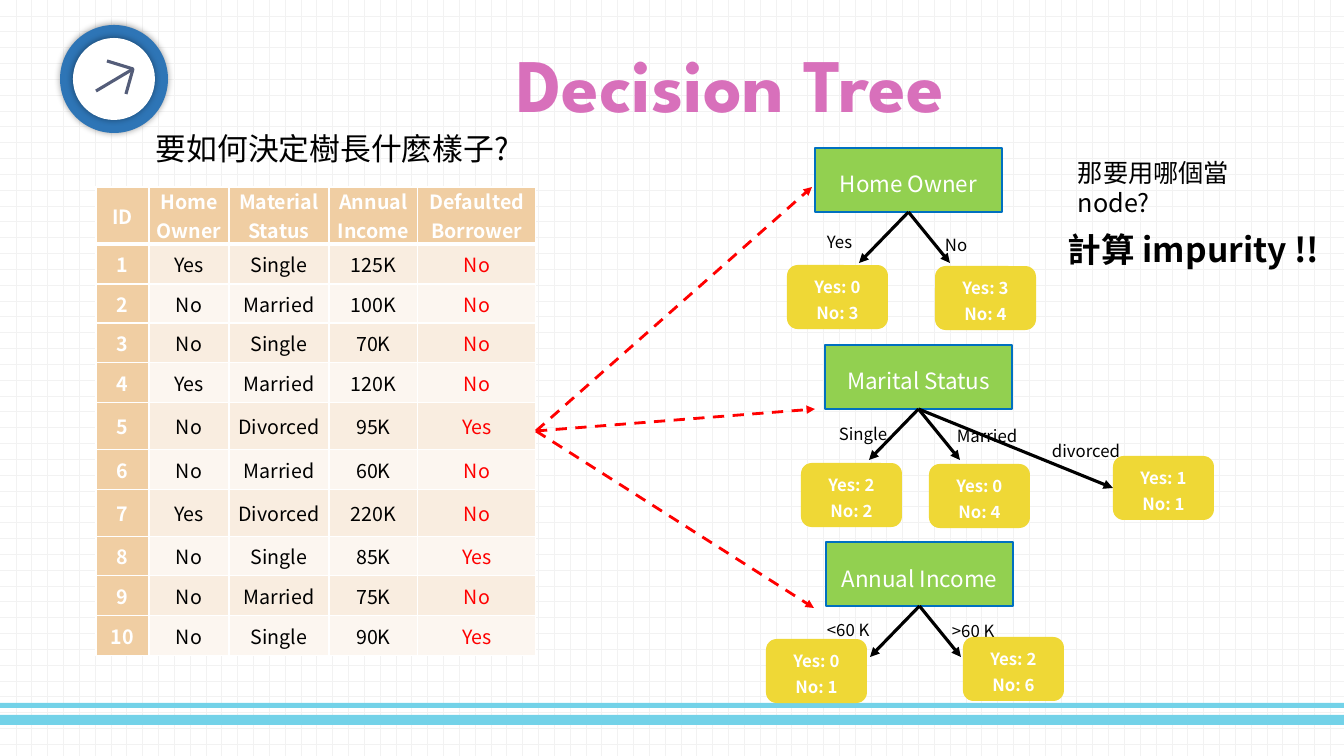
from lxml import etree
from pptx import Presentation
from pptx.dml.color import RGBColor
from pptx.enum.dml import MSO_LINE, MSO_PATTERN
from pptx.enum.shapes import MSO_CONNECTOR, MSO_SHAPE
from pptx.enum.text import MSO_ANCHOR, PP_ALIGN
from pptx.oxml import parse_xml
from pptx.oxml.ns import nsdecls, qn
from pptx.util import Pt

SCALE = 12192000 / 1344
WIDTH, HEIGHT = 1344, 756
BODY_FONT, TITLE_FONT = "Noto Sans CJK SC", "League Spartan"

BLACK = RGBColor(0x00, 0x00, 0x00)
WHITE = RGBColor(0xFF, 0xFF, 0xFF)
RED = RGBColor(0xFF, 0x00, 0x00)
PINK = RGBColor(0xD8, 0x70, 0xBB)
SKY = RGBColor(0x73, 0xD2, 0xE8)
BLUE = RGBColor(0x2E, 0x75, 0xB6)
EDGE_BLUE = RGBColor(0x00, 0x70, 0xC0)
SLATE = RGBColor(0x54, 0x5D, 0x79)
GREEN = RGBColor(0x92, 0xD0, 0x50)
YELLOW = RGBColor(0xEF, 0xD8, 0x36)
GRID_GREY = RGBColor(0xF2, 0xF2, 0xF2)
TAN = RGBColor(0xF0, 0xCE, 0xA3)
BANDS = RGBColor(0xF9, 0xED, 0xE0), RGBColor(0xFC, 0xF6, 0xF0)

LEFT, CENTER = PP_ALIGN.LEFT, PP_ALIGN.CENTER
TOP, MIDDLE = MSO_ANCHOR.TOP, MSO_ANCHOR.MIDDLE
RECT, ROUND, OVAL = MSO_SHAPE.RECTANGLE, MSO_SHAPE.ROUNDED_RECTANGLE, MSO_SHAPE.OVAL
STRAIGHT, DASH = MSO_CONNECTOR.STRAIGHT, MSO_LINE.DASH
SIDE_LEFT, SIDE_BOTTOM = 1, 3 - 1

COLUMNS = [53, 80, 100, 89, 118]
ROWS = [57, 40, 39, 40, 40, 47, 40, 47, 39, 40, 40]
HEADER = ["ID", "Home\nOwner", "Material\nStatus", "Annual\nIncome", "Defaulted\nBorrower"]
RECORDS = [
    ("Yes", "Single", "125K", "No"),
    ("No", "Married", "100K", "No"),
    ("No", "Single", "70K", "No"),
    ("Yes", "Married", "120K", "No"),
    ("No", "Divorced", "95K", "Yes"),
    ("No", "Married", "60K", "No"),
    ("Yes", "Divorced", "220K", "No"),
    ("No", "Single", "85K", "Yes"),
    ("No", "Married", "75K", "No"),
    ("No", "Single", "90K", "Yes"),
]

# Each branch: label, label box (x, y, width), arrow tip, leaf corner, leaf text;
# places are relative to the tree's root box. No tip: the arrow joins the leaf.
LEFT_TIP, RIGHT_TIP = (44, 115), (135, 115)
TREES = [
    ("Home Owner", 815, 148, [
        ("Yes", (2, 73, 48), LEFT_TIP, (-28, 117), "Yes: 0\nNo: 3"),
        ("No", (120, 76, 45), RIGHT_TIP, (120, 118), "Yes: 3\nNo: 4")]),
    ("Marital Status", 825, 345, [
        ("Single", (4, 68, 70), LEFT_TIP, (-24, 118), "Yes: 2\nNo: 2"),
        ("Married", (122, 70, 85), RIGHT_TIP, (104, 119), "Yes: 0\nNo: 4"),
        ("divorced", (217, 85, 91), None, (288, 111), "Yes: 1\nNo: 1")]),
    ("Annual Income", 826, 542, [
        ("<60 K", (-9, 67, 69), LEFT_TIP, (-60, 97), "Yes: 0\nNo: 1"),
        (">60 K", (116, 68, 76), RIGHT_TIP, (137, 95), "Yes: 2\nNo: 6")]),
]


def px(length):
    return round(length * SCALE)


def write(frame, text, size, color, bold=False, align=LEFT, spacing=None,
          anchor=TOP, font=BODY_FONT):
    frame.vertical_anchor = anchor
    for index, line in enumerate(text.split("\n")):
        para = frame.paragraphs[0] if index == 0 else frame.add_paragraph()
        para.alignment = align
        para.line_spacing = spacing
        span = para.add_run()
        span.text = line
        span.font.size, span.font.bold = Pt(size), bold
        span.font.color.rgb, span.font.name = color, font
        east_asian = etree.SubElement(span.font._element, qn("a:ea"))
        east_asian.set("typeface", font)


def add_text(page, x, y, w, h, text, size, color, wrap=True, **style):
    box = page.shapes.add_textbox(px(x), px(y), px(w), px(h))
    box.text_frame.word_wrap = wrap
    write(box.text_frame, text, size, color, **style)


def add_box(page, kind, x, y, w, h, fill, edge=None):
    box = page.shapes.add_shape(kind, px(x), px(y), px(w), px(h))
    box.shadow.inherit = False
    box.fill.solid()
    box.fill.fore_color.rgb = fill
    if edge:
        box.line.color.rgb, box.line.width = edge, Pt(1)
    else:
        box.line.fill.background()
    return box


def add_line(page, start, end, color, width, arrow=True):
    line = page.shapes.add_connector(STRAIGHT, *map(px, start + end))
    line.line.color.rgb, line.line.width = color, Pt(width)
    if arrow:
        tail = etree.SubElement(line.line._get_or_add_ln(), qn("a:tailEnd"))
        tail.set("type", "triangle")
    etree.SubElement(line._element.spPr, qn("a:effectLst"))
    return line


def add_icon(page, x, y):
    # Two glowing discs
    for inset, fill in ((0, BLUE), (13, WHITE)):
        disc = add_box(page, OVAL, x + inset, y + inset, 108 - 2 * inset, 108 - 2 * inset, fill)
        disc._element.spPr.find(qn("a:effectLst")).append(parse_xml(
            f'<a:outerShdw {nsdecls("a")} blurRad="63500" dist="0" dir="0">'
            '<a:srgbClr val="000000"><a:alpha val="40000"/></a:srgbClr></a:outerShdw>'))
    # Open arrow
    corner = (x + 73, y + 44)
    builder = page.shapes.build_freeform(px(x + 47), px(y + 36))
    builder.add_line_segments([tuple(map(px, corner)), (px(x + 66), px(y + 69))], close=False)
    head = builder.convert_to_shape()
    head.shadow.inherit = False
    head.fill.background()
    head.line.color.rgb, head.line.width = SLATE, Pt(2.25)
    add_line(page, (x + 36, y + 66), corner, SLATE, 2.25, arrow=False)


def add_borders(cell, bottom):
    props = cell._tc.get_or_add_tcPr()
    for index, side in enumerate(("lnL", "lnR", "lnT", "lnB")):
        width = Pt(bottom if side == "lnB" else 1)
        props.insert(index, parse_xml(
            f'<a:{side} {nsdecls("a")} w="{width}"><a:solidFill>'
            f'<a:srgbClr val="{WHITE}"/></a:solidFill></a:{side}>'))


def add_records(page, x, y):
    table = page.shapes.add_table(len(ROWS), len(COLUMNS), px(x), px(y),
                                  px(sum(COLUMNS)), px(sum(ROWS))).table
    for column, width in zip(table.columns, COLUMNS):
        column.width = px(width)
    for row, height in zip(table.rows, ROWS):
        row.height = px(height)
    lines = [HEADER] + [(str(n), *record) for n, record in enumerate(RECORDS, 1)]
    for r, line in enumerate(lines):
        for c, text in enumerate(line):
            cell = table.cell(r, c)
            heading = r == 0 or c == 0
            cell.margin_left = cell.margin_right = px(7)
            cell.margin_top = cell.margin_bottom = 0
            cell.fill.solid()
            cell.fill.fore_color.rgb = TAN if heading else BANDS[(r - 1) % 2]
            add_borders(cell, 3 if r == 0 else 1)
            color = WHITE if heading else RED if c == len(COLUMNS) - 1 else BLACK
            write(cell.text_frame, text, 14, color, bold=heading, align=CENTER)
            cell.vertical_anchor = MIDDLE


def add_tree(page, x, y, name, branches):
    root = add_box(page, RECT, x, y, 187, 64, GREEN, EDGE_BLUE)
    write(root.text_frame, name, 16, WHITE, align=CENTER, spacing=1.3, anchor=MIDDLE)
    for label, (label_x, label_y, label_w), tip, (leaf_x, leaf_y), counts in branches:
        tip_x, tip_y = tip or (leaf_x, leaf_y + 32)
        branch = add_line(page, (x + 93, y + 64), (x + tip_x, y + tip_y), BLACK, 2.25)
        branch.begin_connect(root, SIDE_BOTTOM)
        add_text(page, x + label_x, y + label_y, label_w, 34, label, 12, BLACK,
                 wrap=False, spacing=1.3)
        leaf = add_box(page, ROUND, x + leaf_x, y + leaf_y, 101, 64, YELLOW)
        write(leaf.text_frame, counts, 12, WHITE, bold=True, align=CENTER,
              spacing=1.3, anchor=MIDDLE)
        if tip is None:
            branch.end_connect(leaf, SIDE_LEFT)


def add_slide(deck):
    page = deck.slides.add_slide(deck.slide_layouts[6])
    # Grid background and footer stripes
    fill = page.background.fill
    fill.patterned()
    fill.pattern = MSO_PATTERN.DOTTED_GRID
    fill.fore_color.rgb, fill.back_color.rgb = GRID_GREY, WHITE
    for y, height in ((715, 10), (703, 5)):
        add_box(page, RECT, 0, y, WIDTH, height, SKY)
    # Heading
    add_text(page, 151, 46, 1159, 72, "Decision Tree", 54, PINK, bold=True,
             align=CENTER, anchor=MIDDLE, font=TITLE_FONT)
    add_icon(page, 60, 25)
    add_text(page, 146, 125, 383, 47, "要如何決定樹長什麼樣子?", 22, BLACK)
    # Data and candidate trees
    add_records(page, 96, 187)
    for tip in ((812, 187), (815, 409), (814, 608)):
        add_line(page, (536, 431), tip, RED, 2).line.dash_style = DASH
    for name, x, y, branches in TREES:
        add_tree(page, x, y, name, branches)
    # Question and answer
    add_text(page, 1068, 152, 240, 65, "那要用哪個當 node?", 18, BLACK)
    add_text(page, 1058, 224, 286, 50, "計算 impurity !!", 24, BLACK, bold=True)


def main():
    deck = Presentation()
    deck.slide_width, deck.slide_height = px(WIDTH), px(HEIGHT)
    add_slide(deck)
    deck.save("out.pptx")


if __name__ == "__main__":
    main()
